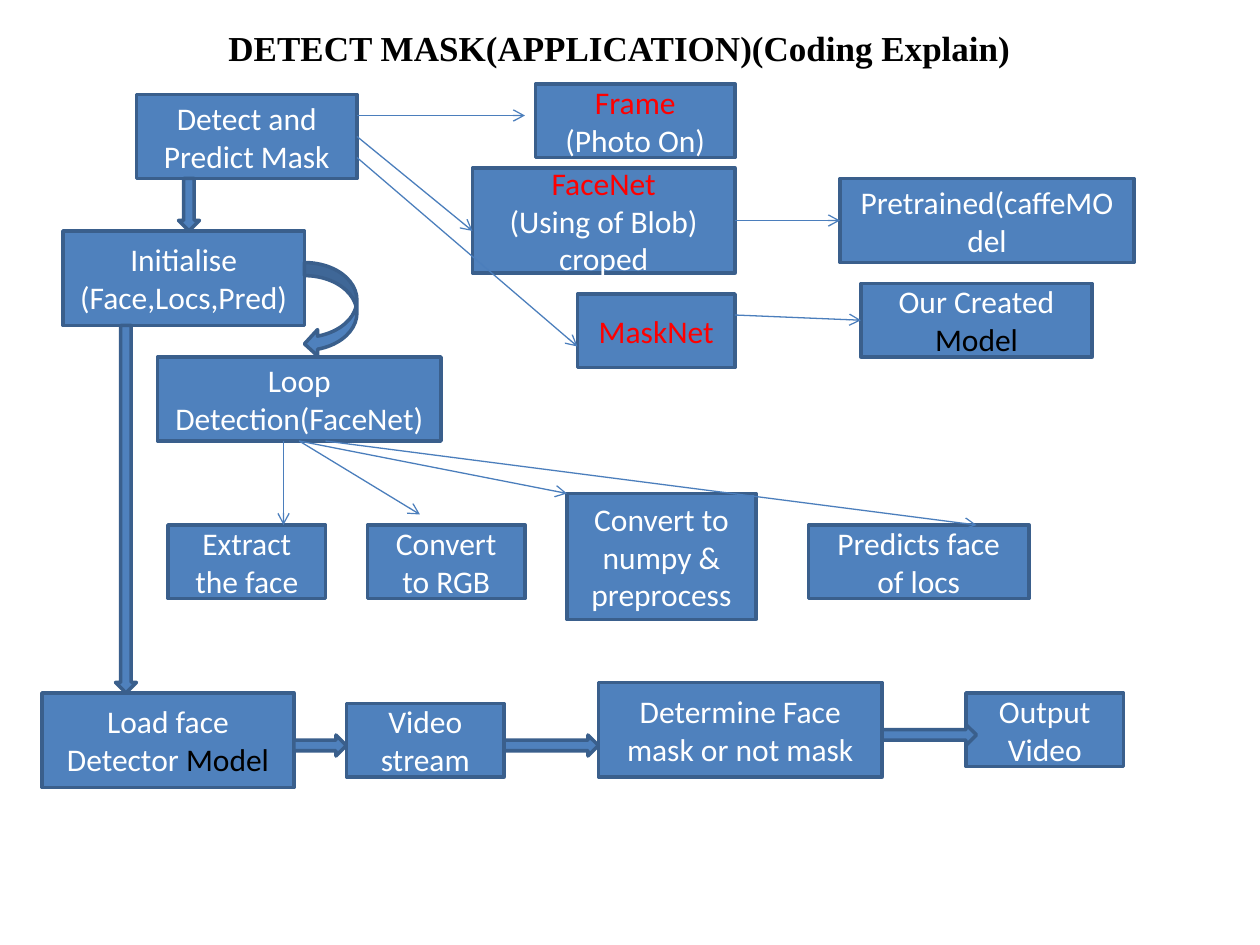
import pptx
import pptx.util
import pptx.dml.color
import pptx.enum.shapes
import pptx.enum.text
import pptx.oxml.ns
import lxml.etree

Pt = pptx.util.Pt
RGBColor = pptx.dml.color.RGBColor
KIND = pptx.enum.shapes.MSO_SHAPE
LINK = pptx.enum.shapes.MSO_CONNECTOR

BLUE = RGBColor(0x4F, 0x81, 0xBD)
EDGE = RGBColor(0x3A, 0x5F, 0x8C)
WIRE = RGBColor(0x4B, 0x7E, 0xBC)
WHITE = RGBColor(0xFF, 0xFF, 0xFF)
BLACK = RGBColor(0, 0, 0)
RED = RGBColor(0xFF, 0, 0)


def write(shape, paras, size=18, font="Calibri", bold=False):
    """Fill a shape with centred paragraphs, each a list of (text, colour)."""
    frame = shape.text_frame
    frame.word_wrap = True
    frame.vertical_anchor = pptx.enum.text.MSO_ANCHOR.MIDDLE
    for i, runs in enumerate(paras):
        para = frame.paragraphs[0] if i == 0 else frame.add_paragraph()
        para.alignment = pptx.enum.text.PP_ALIGN.CENTER
        for text, color in runs:
            run = para.add_run()
            run.text = text
            run.font.size = Pt(size)
            run.font.name = font
            run.font.bold = bold
            run.font.color.rgb = color


def block(kind, x, y, w, h):
    """Add a blue preset shape with a dark edge."""
    shape = slide.shapes.add_shape(kind, Pt(x), Pt(y), Pt(w), Pt(h))
    shape.shadow.inherit = False
    shape.fill.solid()
    shape.fill.fore_color.rgb = BLUE
    shape.line.color.rgb = EDGE
    shape.line.width = Pt(2)
    return shape


deck = pptx.Presentation()
deck.slide_width = Pt(720)
deck.slide_height = Pt(540)
slide = deck.slides.add_slide(deck.slide_layouts[6])

# Title
title = slide.shapes.add_textbox(Pt(30), Pt(0), Pt(648), Pt(54))
write(title, [[("DETECT MASK(APPLICATION)(Coding Explain)", BLACK)]],
      size=20, font="Times New Roman", bold=True)

# Boxes: name, left, top, width, height, paragraphs
boxes = [
    ("detect", 78, 54, 126, 48, [[("Detect and Predict Mask", WHITE)]]),
    ("init", 36, 132, 138, 54, [[("Initialise (Face,Locs,Pred)", WHITE)]]),
    ("loop", 90, 204, 162, 48, [[("Loop Detection(FaceNet)", WHITE)]]),
    ("frame", 306, 48, 114, 42, [[("Frame", RED)], [("(Photo On)", WHITE)]]),
    ("face", 270, 96, 150, 60,
     [[("FaceNet", RED)], [("(Using of Blob) croped", WHITE)]]),
    ("mask", 330, 168, 90, 42, [[("MaskNet", RED)]]),
    ("caffe", 480, 102, 168, 48, [[("Pretrained(caffeMOdel", WHITE)]]),
    ("own", 492, 162, 132, 42, [[("Our Created ", WHITE), ("Model", BLACK)]]),
    ("crop", 96, 300, 90, 42, [[("Extract the face", WHITE)]]),
    ("rgb", 210, 300, 90, 42, [[("Convert to RGB", WHITE)]]),
    ("numpy", 324, 282, 108, 72, [[("Convert to numpy & preprocess", WHITE)]]),
    ("locs", 462, 300, 126, 42, [[("Predicts face of locs", WHITE)]]),
    ("load", 24, 396, 144, 54,
     [[("Load face Detector ", WHITE), ("Model", BLACK)]]),
    ("video", 198, 402, 90, 42, [[("Video stream", WHITE)]]),
    ("judge", 342, 390, 162, 54,
     [[("Determine Face mask or not mask", WHITE)]]),
    ("out", 552, 396, 90, 42, [[("Output Video", WHITE)]]),
]
nodes = {}
for name, x, y, w, h, paras in boxes:
    nodes[name] = block(KIND.RECTANGLE, x, y, w, h)
    write(nodes[name], paras)

# Thin arrows: ends, then the (box, side) each end is joined to
wires = [
    (204, 66, 300, 66, None, None),
    (204, 78, 270, 132, None, None),
    (204, 90, 330, 198, None, None),
    (420, 126, 480, 126, ("face", 3), ("caffe", 1)),
    (420, 180, 492, 183, None, ("own", 1)),
    (162, 252, 162, 300, None, None),
    (171, 252, 240, 294, ("loop", 2), None),
    (171, 252, 324, 282, ("loop", 2), None),
    (186, 252, 558, 300, None, None),
]
for x1, y1, x2, y2, start, end in wires:
    wire = slide.shapes.add_connector(
        LINK.STRAIGHT, Pt(x1), Pt(y1), Pt(x2), Pt(y2))
    if start:
        wire.begin_connect(nodes[start[0]], start[1])
    if end:
        wire.end_connect(nodes[end[0]], end[1])
    wire.line.color.rgb = WIRE
    wire.line.width = Pt(0.75)
    tail = lxml.etree.SubElement(
        wire.line._get_or_add_ln(), pptx.oxml.ns.qn("a:tailEnd"))
    tail.set("type", "arrow")
    lxml.etree.SubElement(
        wire._element.spPr, pptx.oxml.ns.qn("a:effectLst"))

# Block arrows
for kind, x, y, w, h in [
    (KIND.CURVED_LEFT_ARROW, 174, 150, 30, 54),
    (KIND.DOWN_ARROW, 102, 102, 12, 30),
    (KIND.DOWN_ARROW, 66, 186, 12, 210),
    (KIND.RIGHT_ARROW, 168, 420, 30, 12),
    (KIND.RIGHT_ARROW, 288, 420, 54, 12),
    (KIND.RIGHT_ARROW, 504, 414, 54, 12),
]:
    block(kind, x, y, w, h)

deck.save("out.pptx")
